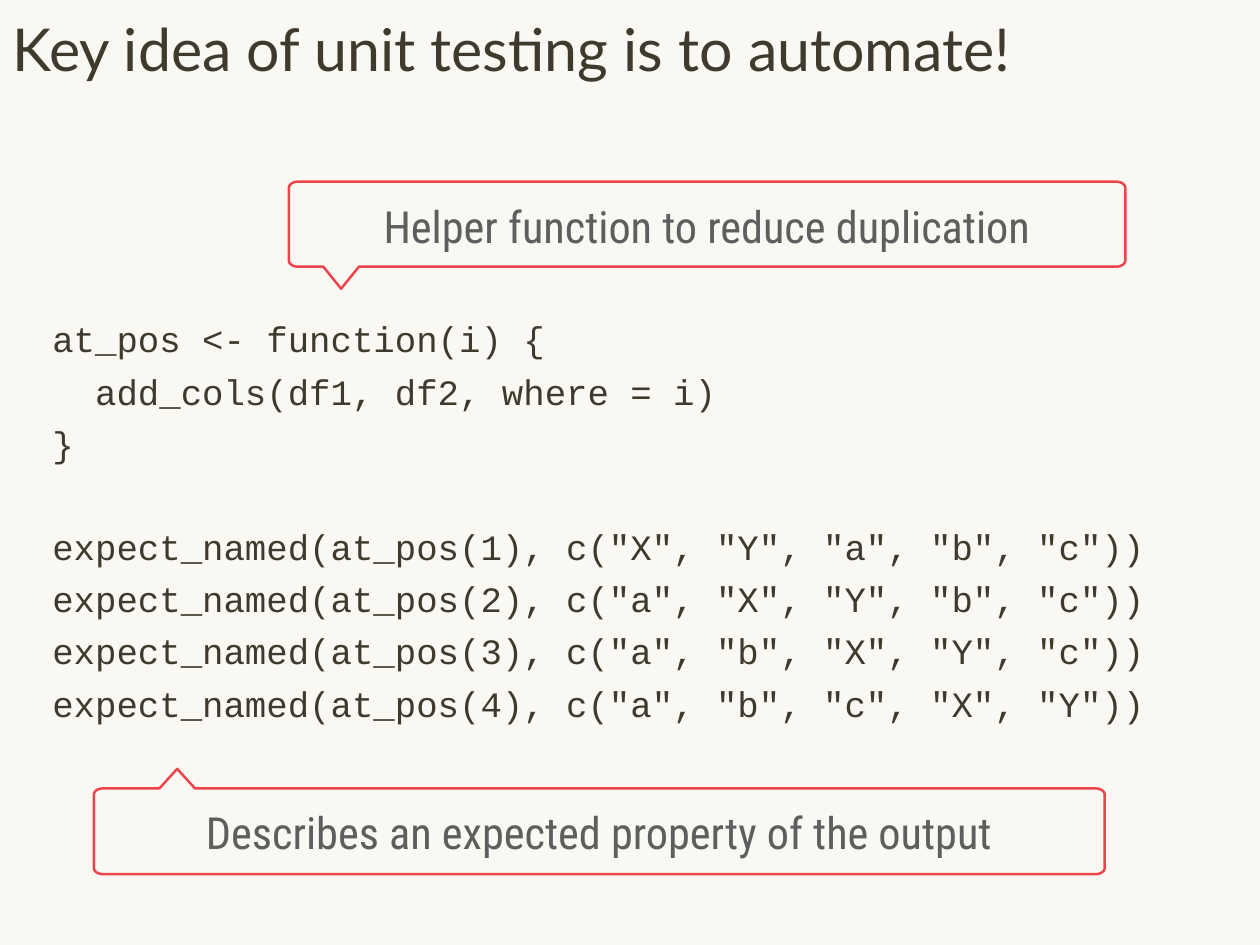
from dataclasses import dataclass
from math import cos, radians, sin

from pptx import Presentation
from pptx.dml.color import RGBColor
from pptx.enum import text
from pptx.util import Cm, Pt

PAPER, INK, GREY, RED = "F9F8F2", "3F3A2D", "5E5E5E", "EE434D"
CORNER_X, CORNER_Y, POINTER_HALF = 0.26, 0.18, 0.51
LINE_GAP, BLOCK_GAP = 7.8, 48.5

HELPER = """at_pos <- function(i) {
  add_cols(df1, df2, where = i)
}"""
EXPECTATIONS = """expect_named(at_pos(1), c("X", "Y", "a", "b", "c"))
expect_named(at_pos(2), c("a", "X", "Y", "b", "c"))
expect_named(at_pos(3), c("a", "b", "X", "Y", "c"))
expect_named(at_pos(4), c("a", "b", "c", "X", "Y"))"""


@dataclass
class Callout:
    """Rounded box in cm; a negative pointer height points up."""
    label: str
    left: float
    top: float
    width: float
    height: float
    pointer_x: float
    pointer_height: float
    insets: tuple


CALLOUTS = [
    Callout("Helper function to reduce duplication",
            8.28, 5.21, 23.98, 2.44, 9.78, 0.63, (0.18, 0.18, 0.18, 0.71)),
    Callout("Describes an expected property of the output",
            2.69, 22.61, 28.98, 2.46, 5.08, -0.56, (0.18, 0.79, 0.18, 0.18)),
]


def rgb(color: str) -> RGBColor:
    return RGBColor.from_string(color)


def format_frame(tf, insets: tuple, anchor) -> None:
    values = dict(zip(("margin_left", "margin_top", "margin_right", "margin_bottom"),
                      map(Cm, insets)))
    values |= {"word_wrap": True, "auto_size": text.MSO_AUTO_SIZE.NONE,
               "vertical_anchor": anchor}
    for name, value in values.items():
        setattr(tf, name, value)


def write(p, content: str, font: str, size: float, color: str, align, before: float = 0) -> None:
    p.alignment = align
    p.space_before = Pt(before)
    r = p.add_run()
    r.text = content
    for name, value in {"name": font, "size": Pt(size)}.items():
        setattr(r.font, name, value)
    r.font.color.rgb = rgb(color)


def corner(cx: float, cy: float, start: int) -> list:
    """Quarter-ellipse points, clockwise from the start angle."""
    angles = [radians(start + step) for step in range(0, 91, 15)]
    return [(cx + CORNER_X * cos(a), cy + CORNER_Y * sin(a)) for a in angles]


def outline(c: Callout) -> list:
    x1, x2 = c.left + CORNER_X, c.left + c.width - CORNER_X
    y1, y2 = c.top + CORNER_Y, c.top + c.height - CORNER_Y
    up = c.pointer_height < 0
    edge = c.top if up else c.top + c.height
    pointer = [(c.pointer_x - POINTER_HALF, edge),
               (c.pointer_x, edge + c.pointer_height),
               (c.pointer_x + POINTER_HALF, edge)]
    return (corner(x1, y1, 180) + (pointer if up else []) + corner(x2, y1, 270)
            + corner(x2, y2, 0) + ([] if up else pointer[::-1]) + corner(x1, y2, 90))


def add_callout(s, c: Callout) -> None:
    points = [(Cm(x), Cm(y)) for x, y in outline(c)]
    builder = s.shapes.build_freeform(*points[0])
    builder.add_line_segments(points[1:], close=True)
    sp = builder.convert_to_shape()
    sp.shadow.inherit = False
    sp.fill.solid()
    sp.fill.fore_color.rgb = rgb(PAPER)
    sp.line.color.rgb = rgb(RED)
    sp.line.width = Pt(2)
    format_frame(sp.text_frame, c.insets, text.MSO_ANCHOR.MIDDLE)
    write(sp.text_frame.paragraphs[0], c.label, "Roboto Condensed", 36, GREY,
          text.PP_ALIGN.CENTER)


def add_title(s) -> None:
    sp = s.shapes.title
    box = {"left": 0, "top": 0, "width": 36.12, "height": 2.74}
    for name, value in box.items():
        setattr(sp, name, Cm(value))
    format_frame(sp.text_frame, (0.36,) * 4, text.MSO_ANCHOR.TOP)
    write(sp.text_frame.paragraphs[0], "Key idea of unit testing is to automate!",
          "Lato", 48, INK, text.PP_ALIGN.LEFT)


def add_code(s) -> None:
    tf = s.shapes.add_textbox(Cm(1.35), Cm(4.09), Cm(33.45), Cm(21.39)).text_frame
    format_frame(tf, (0.15, 0.45, 0.15, 0.15), text.MSO_ANCHOR.MIDDLE)
    p, before = tf.paragraphs[0], 0
    for block in (HELPER, EXPECTATIONS):
        for line in block.splitlines():
            p = tf.add_paragraph() if before else p
            write(p, line, "Courier New", 29, INK, text.PP_ALIGN.LEFT, before)
            before = LINE_GAP
        before = BLOCK_GAP


def main() -> None:
    prs = Presentation()
    prs.slide_width, prs.slide_height = Cm(36.12), Cm(27.1)
    s = prs.slides.add_slide(prs.slide_layouts[5])
    s.background.fill.solid()
    s.background.fill.fore_color.rgb = rgb(PAPER)
    add_title(s)
    add_code(s)
    for callout in CALLOUTS:
        add_callout(s, callout)
    prs.save("out.pptx")


if __name__ == "__main__":
    main()
